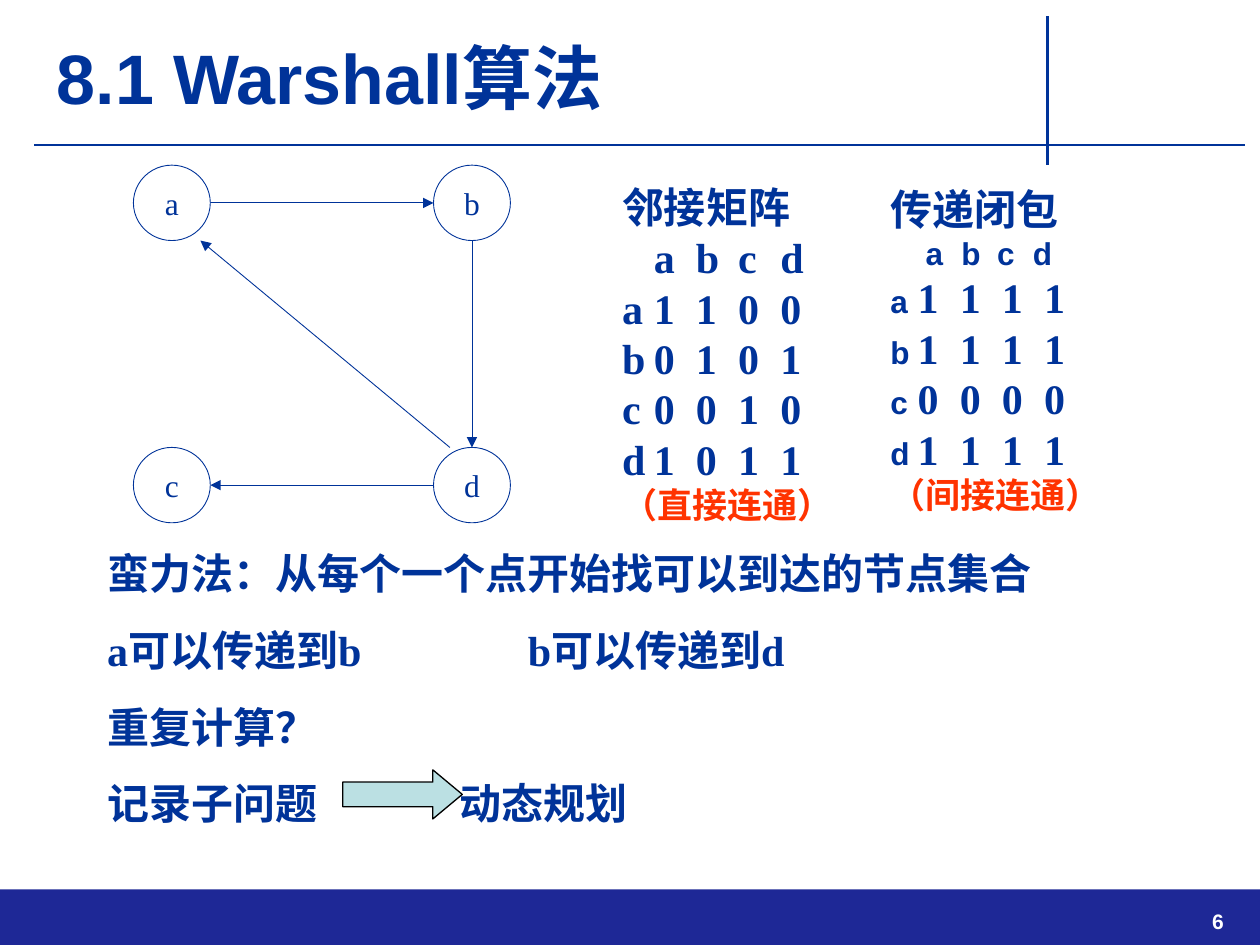
from dataclasses import dataclass

from lxml.etree import SubElement
from pptx import Presentation
from pptx.dml.color import RGBColor
from pptx.enum.shapes import MSO_CONNECTOR as CONN, MSO_SHAPE as SHAPE
from pptx.enum.text import MSO_ANCHOR as ANCHOR, MSO_AUTO_SIZE as AUTO, PP_ALIGN as ALIGN
from pptx.oxml.ns import qn
from pptx.util import Cm, Pt


@dataclass(frozen=True)
class Theme:
    navy: str = "003399"
    footer: str = "1E2896"
    accent: str = "FF3300"
    arrow: str = "BBE0E3"
    white: str = "FFFFFF"
    black: str = "000000"
    sans: str = "Arial"
    serif: str = "Times New Roman"
    title: int = 40
    body: int = 24
    note: int = 20
    small: int = 18
    number: int = 12


T = Theme()


def style(r, size, name, color=T.navy, bold=True):
    f = r.font
    f.size, f.name, f.bold = Pt(size), name, bold
    f.color.rgb = RGBColor.from_string(color)


def add_run(p, text, *fmt):
    r = p.add_run()
    r.text = text
    style(r, *fmt)


def set_tabs(p, stops):
    tabs = SubElement(p._p.get_or_add_pPr(), qn("a:tabLst"))
    for stop in stops:
        SubElement(tabs, qn("a:tab"), pos=str(Cm(stop)), algn="l")


def add_text(s, x, y, w, h):
    tf = s.shapes.add_textbox(Cm(x), Cm(y), Cm(w), Cm(h)).text_frame
    tf.word_wrap = True
    return tf


def add_shape(s, kind, x, y, w, h, fill, line=None, width=0.5):
    sp = s.shapes.add_shape(kind, Cm(x), Cm(y), Cm(w), Cm(h))
    sp.shadow.inherit = False
    sp.fill.solid()
    sp.fill.fore_color.rgb = RGBColor.from_string(fill)
    if line:
        sp.line.color.rgb = RGBColor.from_string(line)
        sp.line.width = Pt(width)
    else:
        sp.line.fill.background()
    return sp


def add_line(s, start, end, width, arrow=False):
    c = s.shapes.add_connector(CONN.STRAIGHT, *map(Cm, start + end))
    c.line.color.rgb = RGBColor.from_string(T.navy)
    c.line.width = Pt(width)
    if arrow:
        SubElement(c.line._get_or_add_ln(), qn("a:tailEnd"), type="triangle")
    SubElement(c._element.spPr, qn("a:effectLst"))


def add_frame(s, w, h, number):
    # Footer band, rules and page number
    add_shape(s, SHAPE.RECTANGLE, 0, h - 1.12, w, 1.12, T.footer)
    add_line(s, (0.69, 2.92), (25.1, 2.92), 1.5)
    add_line(s, (21.11, 0.33), (21.11, 3.33), 1.5)
    tf = add_text(s, w - 2.69, h - 0.89, 2.21, 0.81)
    tf.vertical_anchor = ANCHOR.MIDDLE
    p = tf.paragraphs[0]
    p.alignment = ALIGN.RIGHT
    add_run(p, number, T.number, T.sans, T.white)


def set_title(s, x, y, w, h, text):
    sp = s.shapes.title
    sp.left, sp.top, sp.width, sp.height = map(Cm, (x, y, w, h))
    tf = sp.text_frame
    tf.text = text
    tf.auto_size = AUTO.NONE
    tf.vertical_anchor = ANCHOR.MIDDLE
    p = tf.paragraphs[0]
    p.alignment = ALIGN.LEFT
    style(p.runs[0], T.title, T.sans)


def add_graph(s, x, y, w, h):
    nw, nh = 1.55, 1.52
    right, bottom = x + w - nw, y + h - nh
    mid_x, mid_top, mid_bottom = right + nw / 2, y + nh / 2, bottom + nh / 2
    # Edges a-b, b-d, d-c and d-a
    edges = [((x + nw, mid_top), (right, mid_top)),
             ((mid_x, y + nh), (mid_x, bottom)),
             ((right, mid_bottom), (x + nw, mid_bottom)),
             ((right + 0.33, bottom), (x + 1.35, y + nh))]
    for start, end in edges:
        add_line(s, start, end, 0.5, arrow=True)
    # Nodes at the four corners
    corners = [(x, y), (right, y), (x, bottom), (right, bottom)]
    for name, (nx, ny) in zip("abcd", corners):
        sp = add_shape(s, SHAPE.OVAL, nx, ny, nw, nh, T.white, T.navy)
        tf = sp.text_frame
        tf.word_wrap = False
        tf.vertical_anchor = ANCHOR.MIDDLE
        p = tf.paragraphs[0]
        p.alignment = ALIGN.CENTER
        add_run(p, name, T.small, T.serif, T.navy, False)


def add_matrix(s, x, y, w, h, heading, rows, note, label, head_tabs, row_tabs):
    """label is (size, font); each tabs pair is (first stop, pitch)."""
    tf = add_text(s, x, y, w, h)
    add_run(tf.paragraphs[0], heading, T.body, T.serif)
    lines = [("", "abcd", label, head_tabs)]
    lines += [(n, r, (T.body, T.serif), row_tabs) for n, r in zip("abcd", rows)]
    for name, cells, fmt, (first, pitch) in lines:
        p = tf.add_paragraph()
        set_tabs(p, [first + pitch * i for i in range(len(cells))])
        if name:
            add_run(p, name, *label)
        add_run(p, "".join("\t" + c for c in cells), *fmt)
    add_run(tf.add_paragraph(), note, T.note, label[1], T.accent)


def add_notes(s, x, y, w, h):
    lines = [("蛮力法：从每个一个点开始找可以到达的节点集合", None),
             ("a可以传递到b\tb可以传递到d", 8.48),
             ("重复计算？", None),
             ("记录子问题\t动态规划", 7.11)]
    tf = add_text(s, x, y, w, h)
    for i, (text, stop) in enumerate(lines):
        p = tf.add_paragraph() if i else tf.paragraphs[0]
        if i:
            p.space_before = Pt(15)
        if stop:
            set_tabs(p, [stop])
        add_run(p, text, T.body, T.serif)
    # Arrow in the gap of the last line
    sp = add_shape(s, SHAPE.RIGHT_ARROW, x + 5, y + 4.6, 2.41, 0.99,
                   T.arrow, T.black, 0.75)
    sp.adjustments[0], sp.adjustments[1] = 0.5, 0.6


def main():
    prs = Presentation()
    prs.slide_width, prs.slide_height = Cm(25.4), Cm(19.05)
    s = prs.slides.add_slide(prs.slide_layouts[5])
    add_frame(s, 25.4, 19.05, "6")
    set_title(s, 0.89, 0.53, 19.79, 2.01, "8.1 Warshall算法")
    add_graph(s, 2.69, 3.33, 7.6, 7.21)
    add_matrix(s, 12.29, 3.53, 5, 7.21, "邻接矩阵",
               ["1100", "0101", "0010", "1011"], "（直接连通）",
               (T.body, T.serif), (0.64, 0.85), (0.64, 0.85))
    add_matrix(s, 17.7, 3.58, 5.21, 6.96, "传递闭包",
               ["1111", "1111", "0000", "1111"], "（间接连通）",
               (T.small, T.sans), (0.71, 0.72), (0.55, 0.85))
    add_notes(s, 1.91, 10.92, 20.6, 5.92)
    prs.save("out.pptx")


if __name__ == "__main__":
    main()
